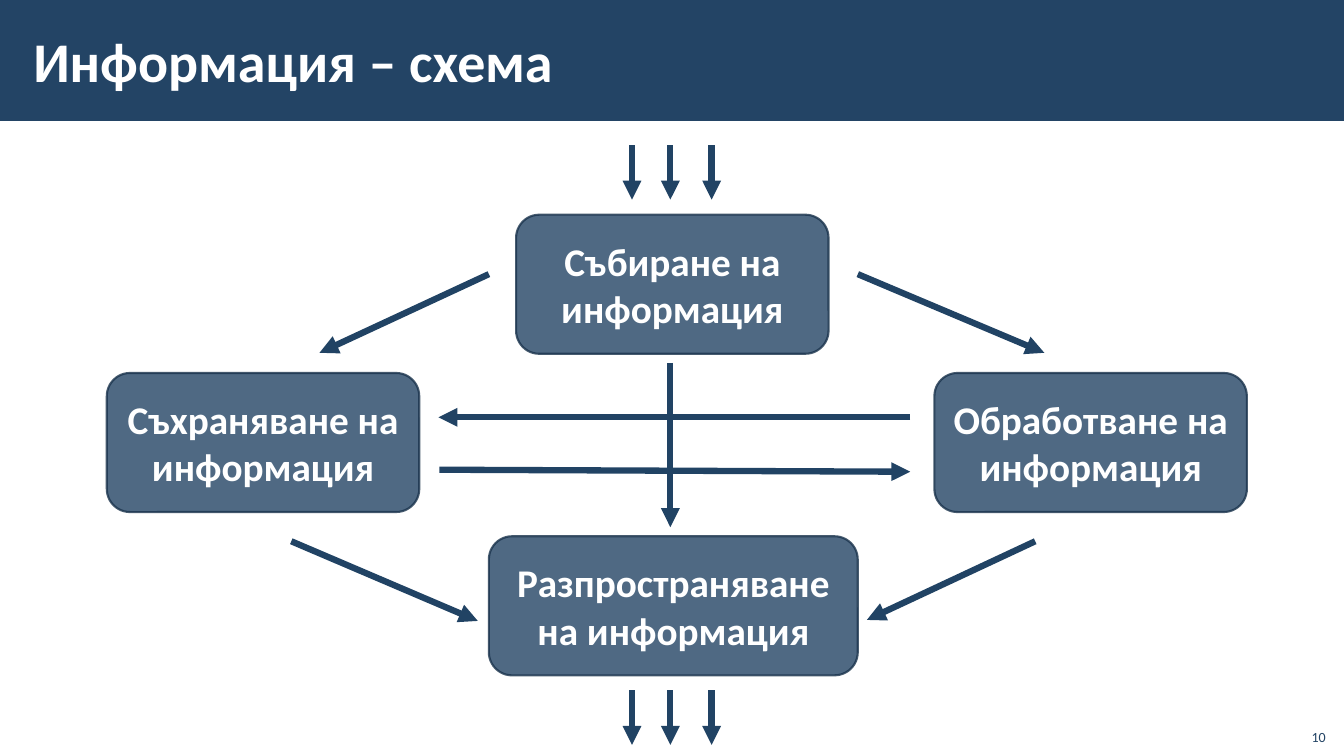
from lxml import etree
from pptx import Presentation
from pptx.dml.color import RGBColor
from pptx.enum.shapes import MSO_CONNECTOR, MSO_SHAPE
from pptx.enum.text import MSO_ANCHOR, PP_ALIGN
from pptx.oxml.ns import qn
from pptx.util import Inches, Pt

STRAIGHT = MSO_CONNECTOR.STRAIGHT
RECTANGLE, ROUNDED = MSO_SHAPE.RECTANGLE, MSO_SHAPE.ROUNDED_RECTANGLE
MIDDLE, BOTTOM = MSO_ANCHOR.MIDDLE, MSO_ANCHOR.BOTTOM
LEFT, CENTER, RIGHT = PP_ALIGN.LEFT, PP_ALIGN.CENTER, PP_ALIGN.RIGHT

NAVY = RGBColor(0x23, 0x44, 0x65)
DARK_NAVY = RGBColor(0x1A, 0x33, 0x4C)
ARROW_BLUE = RGBColor(0x21, 0x43, 0x64)
WHITE = RGBColor(0xFF, 0xFF, 0xFF)
FONT = "Calibri"
CELL = Inches(0.1)
COLUMNS, ROWS = 133.33, 75

NODE_HEIGHT = 13.8
NODES = [
    ("Събиране на информация", 40.6, 6.9, 31),
    ("Съхраняване на информация", 0, 22.6, 31),
    ("Обработване на информация", 82.1, 22.6, 31),
    ("Разпространяване на информация", 37.9, 38.8, 36.6),
]
STREAM_COLUMNS = (52.1, 55.9, 60)
STREAM_LENGTH = 5.4
FLOWS = [
    (37.9, 12.8, 21.1, 20.6),
    (74.5, 12.8, 93, 20.6),
    (55.9, 21.6, 55.9, 37.9),
    (18.3, 39.3, 36.8, 47.2),
    (92.1, 39.3, 75.4, 47.1),
    (79.7, 27, 32.9, 27),
    (33, 32.2, 79.7, 32.4),
]


def cells(*lengths):
    """Turn grid lengths into slide lengths."""
    return [round(length * CELL) for length in lengths]


def write(shape, text, size, color, align, anchor, bold=False):
    """Write one wrapped paragraph in a shape."""
    frame = shape.text_frame
    frame.word_wrap = True
    frame.vertical_anchor = anchor
    para = frame.paragraphs[0]
    para.alignment = align
    span = para.add_run()
    span.text = text
    span.font.name = FONT
    span.font.size = Pt(size)
    span.font.bold = bold
    span.font.color.rgb = color


def add_node(page, text, left, top, width):
    """Add one translucent rounded step."""
    node = page.shapes.add_shape(ROUNDED, *cells(left, top, width, NODE_HEIGHT))
    node.shadow.inherit = False
    node.fill.solid()
    node.fill.fore_color.rgb = NAVY
    node.line.color.rgb = DARK_NAVY
    node.line.width = Pt(1.5)
    for color in node.element.spPr.iter(qn("a:srgbClr")):
        etree.SubElement(color, qn("a:alpha"), val="80000")
    write(node, text, 28, WHITE, CENTER, MIDDLE, bold=True)


def add_arrow(page, start_x, start_y, end_x, end_y):
    """Add a thick arrow between two grid points."""
    arrow = page.shapes.add_connector(STRAIGHT, *cells(start_x, start_y, end_x, end_y))
    arrow.line.color.rgb = ARROW_BLUE
    arrow.line.width = Pt(4.5)
    properties = arrow.element.spPr
    etree.SubElement(properties.find(qn("a:ln")), qn("a:tailEnd"), type="triangle")
    etree.SubElement(properties, qn("a:effectLst"))


def draw_header(page, left, top, width, height):
    """Draw the title band and place the title inside it."""
    band = page.shapes.add_shape(RECTANGLE, *cells(left, top, width, height))
    band.shadow.inherit = False
    band.fill.solid()
    band.fill.fore_color.rgb = NAVY
    band.line.fill.background()
    title = page.shapes.title
    title.element.addprevious(band.element)
    title.left, title.top, title.width, title.height = cells(
        left + 2.1, top + 1.1, width - 21, height - 2.3)
    frame = title.text_frame
    frame.margin_left = frame.margin_right = Inches(0.12)
    frame.margin_top = frame.margin_bottom = Inches(0.04)
    write(title, "Информация – схема", 40, WHITE, LEFT, MIDDLE, bold=True)


def draw_scheme(page, left, top, height):
    """Draw the steps, the flows between them and the outer streams."""
    for text, node_left, node_top, width in NODES:
        add_node(page, text, left + node_left, top + node_top, width)
    for start_x, start_y, end_x, end_y in FLOWS:
        add_arrow(page, left + start_x, top + start_y, left + end_x, top + end_y)
    for stream_top in (top, top + height - STREAM_LENGTH):
        for column in STREAM_COLUMNS:
            add_arrow(page, left + column, stream_top,
                      left + column, stream_top + STREAM_LENGTH)


def draw_page_number(page, left, top, width, height):
    """Write the page number in the corner."""
    box = page.shapes.add_textbox(*cells(left, top, width, height))
    write(box, "10", 10, NAVY, RIGHT, BOTTOM)


def main():
    """Build the deck and save it."""
    deck = Presentation()
    deck.slide_width, deck.slide_height = cells(COLUMNS, ROWS)
    page = deck.slides.add_slide(deck.slide_layouts.get_by_name("Title Only"))
    draw_header(page, 0, 0, COLUMNS, 12)
    draw_scheme(page, 10.6, 14.4, 59.5)
    draw_page_number(page, 128.5, 71.2, 4, 3.2)
    deck.save("out.pptx")


if __name__ == "__main__":
    main()
